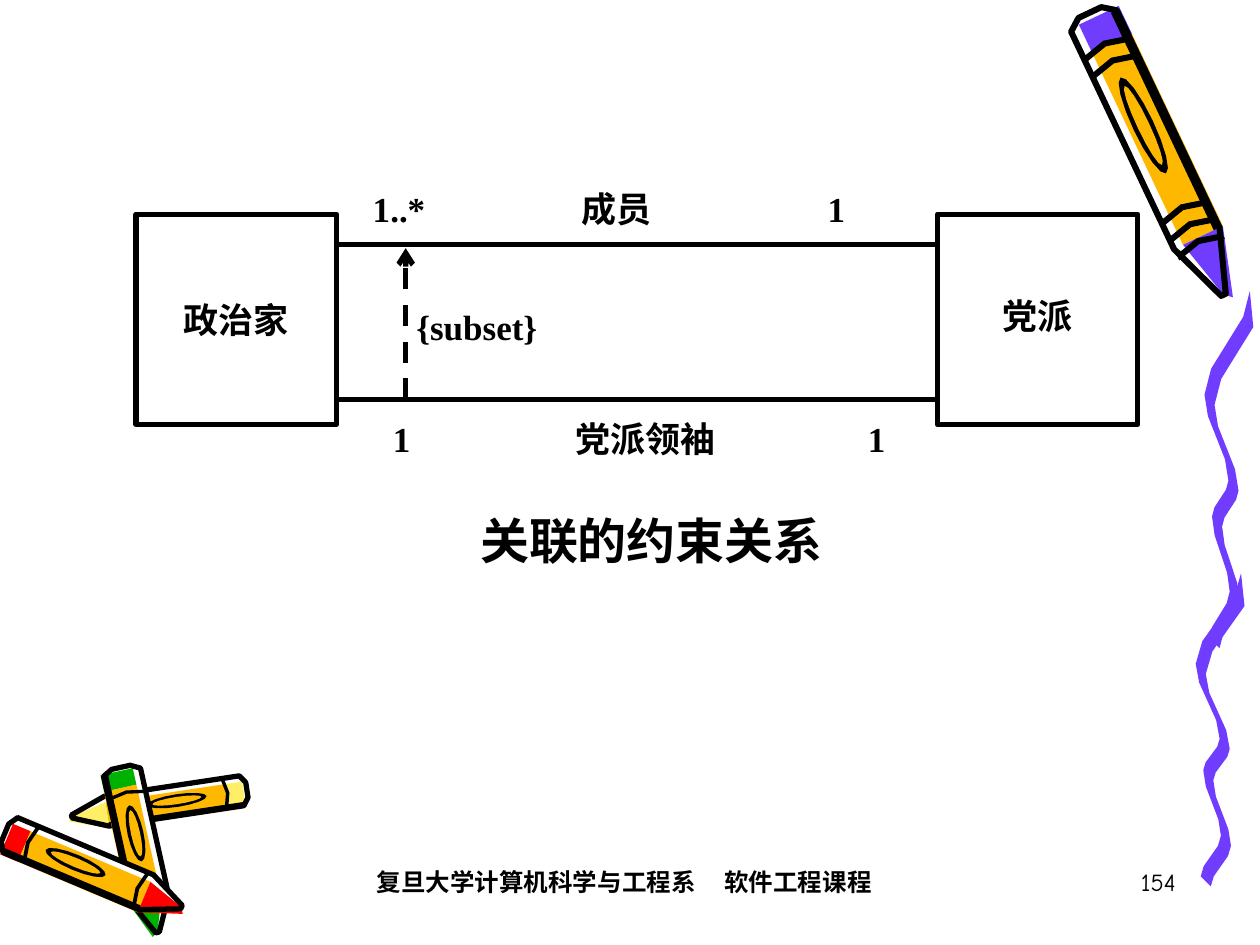
import math

import lxml.etree
import pptx
import pptx.dml.color
import pptx.enum.dml
import pptx.enum.shapes
import pptx.enum.text
import pptx.oxml.ns
import pptx.util

Inches = pptx.util.Inches
ALIGN = pptx.enum.text.PP_ALIGN
ANCHOR = pptx.enum.text.MSO_ANCHOR
PURPLE, ORANGE, YELLOW = "703DFF", "FFB800", "FFEF66"
RED, GREEN, BLACK, WHITE = "FF0000", "00B200", "000000", "FFFFFF"


def paint(target, color):
    target.solid()
    target.fore_color.rgb = pptx.dml.color.RGBColor.from_string(color)


def add_child(parent, tag, **attributes):
    return lxml.etree.SubElement(parent, pptx.oxml.ns.qn(tag), attributes)


deck = pptx.Presentation()
deck.slide_width, deck.slide_height = Inches(10), Inches(7.5)
page = deck.slides.add_slide(deck.slide_layouts[6])
outlines = []

swings = [(0.36, 0), (0, 0.29), (0.19, 0.53), (0.06, 0.63), (0.2, 0.84), (0.04, 0.97)]
steps_per_swing = 4
nib = 0.08
for left, top, height in [(9.49, 4.55, 2.48), (9.56, 2.31, 2.84)]:
    stroke = [(left + swings[0][0], top)]
    for (start_x, start_y), (end_x, end_y) in zip(swings, swings[1:]):
        for step in range(1, steps_per_swing + 1):
            progress = step / steps_per_swing
            ease = (1 - math.cos(math.pi * progress)) / 2
            x = left + start_x + (end_x - start_x) * ease
            y = top + (start_y + (end_y - start_y) * progress) * height
            stroke.append((x, y))
    swept = [(x + nib, y + nib) for x, y in reversed(stroke[1:])]
    outlines.append((stroke + swept, PURPLE, 0))

shoulder = 0.8
cap_end = 0.12
spill, highlight = -1.15, 0.6
silhouette = [(0.03, 1), (0, 0.5), (0, -0.5), (0.03, -1), (shoulder, -1), (1, -0.1), (1, 0.1), (shoulder, 1)]
cap = [(0.02, highlight), (0.02, spill), (cap_end, spill), (cap_end, highlight)]
wrapper = [(cap_end, highlight), (cap_end, spill), (shoulder, spill), (shoulder, highlight)]
point = [(shoulder, highlight), (shoulder, spill), (1.02, -0.3), (1, 0)]
shade = [(0.03, -1), (0.03, -0.75), (shoulder, -0.75), (shoulder, -1)]
ring_bow, ring_thickness = 0.02, 0.02
oval_center, oval_sides = 0.4, 16
oval_layers = [(0.17, 0.42, BLACK), (0.14, 0.24, ORANGE)]
crayons = [
    {"tail": (1.96, 6.27), "tip": (0.57, 6.48), "half": 0.12, "color": YELLOW, "rings": [0.12], "line": 3},
    {"tail": (0.96, 6.09), "tip": (1.25, 7.4), "half": -0.15, "color": GREEN, "rings": [0.16], "line": 3},
    {"tail": (0.04, 6.61), "tip": (1.44, 7.2), "half": -0.15, "color": RED, "rings": [0.14, 0.76], "line": 3},
    {"tail": (8.65, 0.1), "tip": (9.71, 2.34), "half": 0.2, "color": PURPLE,
     "rings": [0.12, 0.18, 0.7, 0.76, 0.82], "line": 3.5},
]
for crayon in crayons:
    tail_x, tail_y = crayon["tail"]
    run = crayon["tip"][0] - tail_x
    rise = crayon["tip"][1] - tail_y
    half_width = crayon["half"] / math.hypot(run, rise)
    parts = [
        (silhouette, WHITE, 0),
        (cap, crayon["color"], 0),
        (wrapper, ORANGE, 0),
        (point, crayon["color"], 0),
        (shade, BLACK, 0),
        (silhouette, None, crayon["line"]),
    ]
    for ring in crayon["rings"]:
        near = [(ring, 1), (ring - ring_bow, 0), (ring, -1)]
        far = [(along + ring_thickness, across) for along, across in reversed(near)]
        parts.append((near + far, BLACK, 0))
    for length, breadth, color in oval_layers:
        angles = [2 * math.pi * side / oval_sides for side in range(oval_sides)]
        oval = [(oval_center + length * math.cos(angle), breadth * math.sin(angle)) for angle in angles]
        parts.append((oval, color, 0))
    for part, color, weight in parts:
        points = [
            (tail_x + along * run - across * half_width * rise, tail_y + along * rise + across * half_width * run)
            for along, across in part
        ]
        outlines.append((points, color, weight))

for points, color, weight in outlines:
    corners = [(Inches(x), Inches(y)) for x, y in points]
    builder = page.shapes.build_freeform(*corners[0])
    builder.add_line_segments(corners[1:], close=True)
    piece = builder.convert_to_shape()
    piece.shadow.inherit = False
    piece.fill.background()
    piece.line.fill.background()
    if color:
        paint(piece.fill, color)
    if weight:
        paint(piece.line.fill, BLACK)
        piece.line.width = pptx.util.Pt(weight)

diagram_text = {"size": pptx.util.Pt(20), "name": "Times New Roman", "bold": True}
caption_text = {**diagram_text, "size": pptx.util.Pt(28)}
footer_text = {"size": pptx.util.Pt(14), "name": "Comic Neue", "bold": True}
number_text = {**footer_text, "bold": False}
row = {"anchor": ANCHOR.TOP, "align": ALIGN.LEFT, "spacing": 0.8, "fill": WHITE, "font": diagram_text}
caption = {**row, "align": ALIGN.CENTER, "font": caption_text}
note = {**caption, "anchor": ANCHOR.MIDDLE, "fill": None, "font": diagram_text}
entity = {**note, "border": BLACK}
footer = {**row, "spacing": 1.0, "fill": None, "font": footer_text}
labels = [
    ("\t1..*\t成员\t1", (2.83, 1.5, 4.48, 0.58), {**row, "tabs": [0.03, 1.69, 3.64]}),
    ("\t1\t党派领袖\t1", (2.83, 3.33, 4.48, 0.5), {**row, "tabs": [0.19, 1.64, 3.96]}),
    ("{subset}", (2.92, 2.26, 1.73, 0.72), note),
    ("政治家", (1.08, 1.7, 1.59, 1.67), {**entity, "spacing": 1.0}),
    ("党派", (7.44, 1.7, 1.59, 1.67), entity),
    ("关联的约束关系", (3.67, 4.09, 3, 0.58), caption),
    ("\t复旦大学计算机科学与工程系\t软件工程课程", (2, 6.83, 5.92, 0.5), {**footer, "tabs": [0.89, 3.65]}),
    ("154", (7.35, 6.83, 2.08, 0.5), {**footer, "align": ALIGN.RIGHT, "font": number_text}),
]
for text, place, style in labels:
    area = [Inches(value) for value in place]
    border = style.get("border")
    if style["fill"] or border:
        box = page.shapes.add_shape(pptx.enum.shapes.MSO_SHAPE.RECTANGLE, *area)
        box.shadow.inherit = False
        box.fill.background()
        box.line.fill.background()
    else:
        box = page.shapes.add_textbox(*area)
    if style["fill"]:
        paint(box.fill, style["fill"])
    if border:
        paint(box.line.fill, border)
        box.line.width = pptx.util.Pt(3)
    box.text_frame.word_wrap = True
    box.text_frame.vertical_anchor = style["anchor"]
    para = box.text_frame.paragraphs[0]
    para.alignment = style["align"]
    para.line_spacing = style["spacing"]
    if "tabs" in style:
        tab_list = add_child(para._p.get_or_add_pPr(), "a:tabLst")
        for stop in style["tabs"]:
            add_child(tab_list, "a:tab", pos=str(Inches(stop)), algn="l")
    span = para.add_run()
    span.text = text
    for key, value in style["font"].items():
        setattr(span.font, key, value)
    paint(span.font.fill, BLACK)

member_y, leader_y = 1.94, 3.17
associations = [
    (2.67, member_y, 7.43, member_y, False),
    (2.67, leader_y, 7.43, leader_y, False),
    (3.22, leader_y, 3.22, 1.97, True),
]
for *ends, is_constraint in associations:
    link = page.shapes.add_connector(
        pptx.enum.shapes.MSO_CONNECTOR.STRAIGHT, *[Inches(value) for value in ends]
    )
    paint(link.line.fill, BLACK)
    link.line.width = pptx.util.Pt(3)
    if is_constraint:
        link.line.dash_style = pptx.enum.dml.MSO_LINE.DASH
        add_child(link.line._get_or_add_ln(), "a:tailEnd", type="arrow")
    add_child(link._element.spPr, "a:effectLst")

deck.save("out.pptx")
